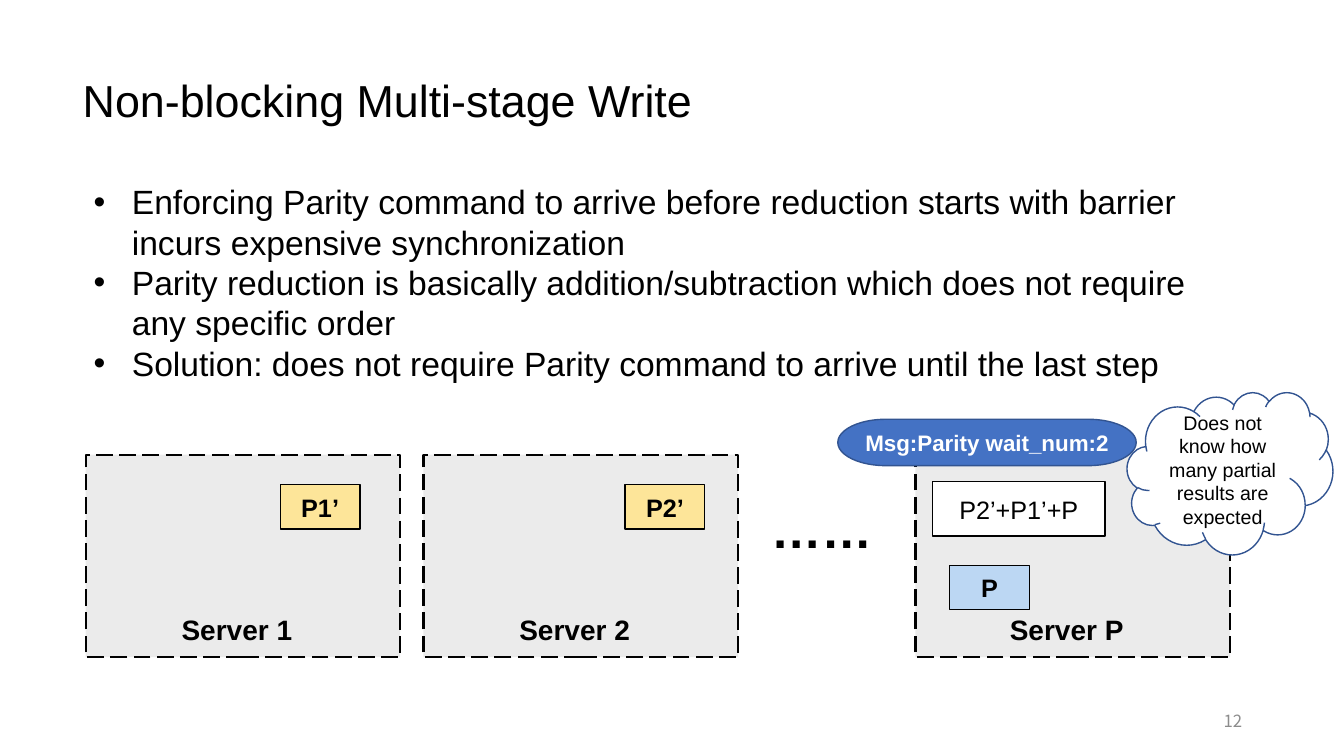
from pptx import Presentation
from pptx import util as u
from pptx.dml.color import RGBColor
from pptx.enum import dml, shapes, text
from pptx.oxml.ns import qn
from lxml import etree

PX = 9144  # 100 px to the inch
BLACK = RGBColor(0, 0, 0)
WHITE = RGBColor(255, 255, 255)
GRAY = RGBColor(0xD9, 0xD9, 0xD9)
NUMBER_GRAY = RGBColor(0x8C, 0x8C, 0x8C)
YELLOW = RGBColor(0xFD, 0xE5, 0x99)
LIGHT_BLUE = RGBColor(0xBC, 0xD7, 0xF3)
BLUE = RGBColor(0x44, 0x72, 0xC4)
DARK_BLUE = RGBColor(0x32, 0x54, 0x91)
LEFT, CENTER, RIGHT = text.PP_ALIGN.LEFT, text.PP_ALIGN.CENTER, text.PP_ALIGN.RIGHT
TOP, MIDDLE = text.MSO_ANCHOR.TOP, text.MSO_ANCHOR.MIDDLE
KIND = shapes.MSO_SHAPE


def write(shape, words, size, color=BLACK, bold=False, align=CENTER,
          anchor=MIDDLE, font="Arial", wrap=True):
    frame = shape.text_frame
    frame.text = words
    frame.word_wrap = wrap
    frame.vertical_anchor = anchor
    for paragraph in frame.paragraphs:
        paragraph.alignment = align
        for run in paragraph.runs:
            run.font.name = font
            run.font.size = u.Pt(size)
            run.font.bold = bold
            run.font.color.rgb = color
    return frame


def add_box(kind, place, fill, line=BLACK, width=1):
    shape = slide.shapes.add_shape(kind, *(n * PX for n in place))
    shape.shadow.inherit = False
    shape.fill.solid()
    shape.fill.fore_color.rgb = fill
    shape.line.color.rgb = line
    shape.line.width = u.Pt(width)
    return shape


presentation = Presentation()
presentation.slide_width = 1333 * PX
presentation.slide_height = 750 * PX
slide = presentation.slides.add_slide(presentation.slide_layouts[5])

title = slide.shapes.title
title.left, title.top, title.width, title.height = (n * PX for n in (72, 30, 1191, 145))
frame = write(title, "Non-blocking Multi-stage Write", 32, align=LEFT)
frame.paragraphs[0].line_spacing = 0.9

number = slide.shapes.add_textbox(942 * PX, 695 * PX, 300 * PX, 40 * PX)
write(number, "12", 12, NUMBER_GRAY, align=RIGHT, font="Noto Sans CJK SC")

points = [
    "Enforcing Parity command to arrive before reduction starts with barrier incurs expensive synchronization",
    "Parity reduction is basically addition/subtraction which does not require any specific order",
    "Solution: does not require Parity command to arrive until the last step",
]
body = slide.shapes.add_textbox(83 * PX, 175 * PX, 1104 * PX, 212 * PX)
frame = write(body, "\n".join(points), 24, align=LEFT, anchor=TOP)
for paragraph in frame.paragraphs:
    properties = paragraph._p.get_or_add_pPr()
    properties.set("marL", str(38 * PX))
    properties.set("indent", str(-38 * PX))
    etree.SubElement(properties, qn("a:buFont"), typeface="Arial")
    etree.SubElement(properties, qn("a:buChar"), char="•")

for name, left in (("Server 1", 85), ("Server 2", 420), ("Server P", 908)):
    server = add_box(KIND.RECTANGLE, (left, 451, 312, 201), GRAY, width=1.5)
    server.line.dash_style = dml.MSO_LINE.LONG_DASH
    color = server.fill._xPr.find(qn("a:solidFill"))[0]
    etree.SubElement(color, qn("a:alpha"), val="50000")
    label = slide.shapes.add_textbox((left + 71) * PX, 603 * PX, 158 * PX, 44 * PX)
    write(label, name, 20, bold=True, anchor=TOP)

dots = slide.shapes.add_textbox(755 * PX, 489 * PX, 121 * PX, 71 * PX)
write(dots, "……", 36, bold=True, align=LEFT, anchor=TOP, wrap=False)

cloud = add_box(KIND.CLOUD, (1118, 389, 204, 161), WHITE, DARK_BLUE)
write(cloud, "Does not know how many partial results are expected", 14)

message = add_box(KIND.FLOWCHART_TERMINATOR, (831, 416, 296, 46), BLUE, DARK_BLUE)
write(message, "Msg:Parity wait_num:2", 16, WHITE, bold=True)

for words, place, fill, bold in (
    ("P1’", (278, 481, 79, 44), YELLOW, True),
    ("P2’", (620, 481, 79, 44), YELLOW, True),
    ("P", (942, 561, 79, 44), LIGHT_BLUE, True),
    ("P2’+P1’+P", (925, 478, 171, 54), WHITE, False),
):
    write(add_box(KIND.RECTANGLE, place, fill), words, 18, bold=bold)

presentation.save("out.pptx")
